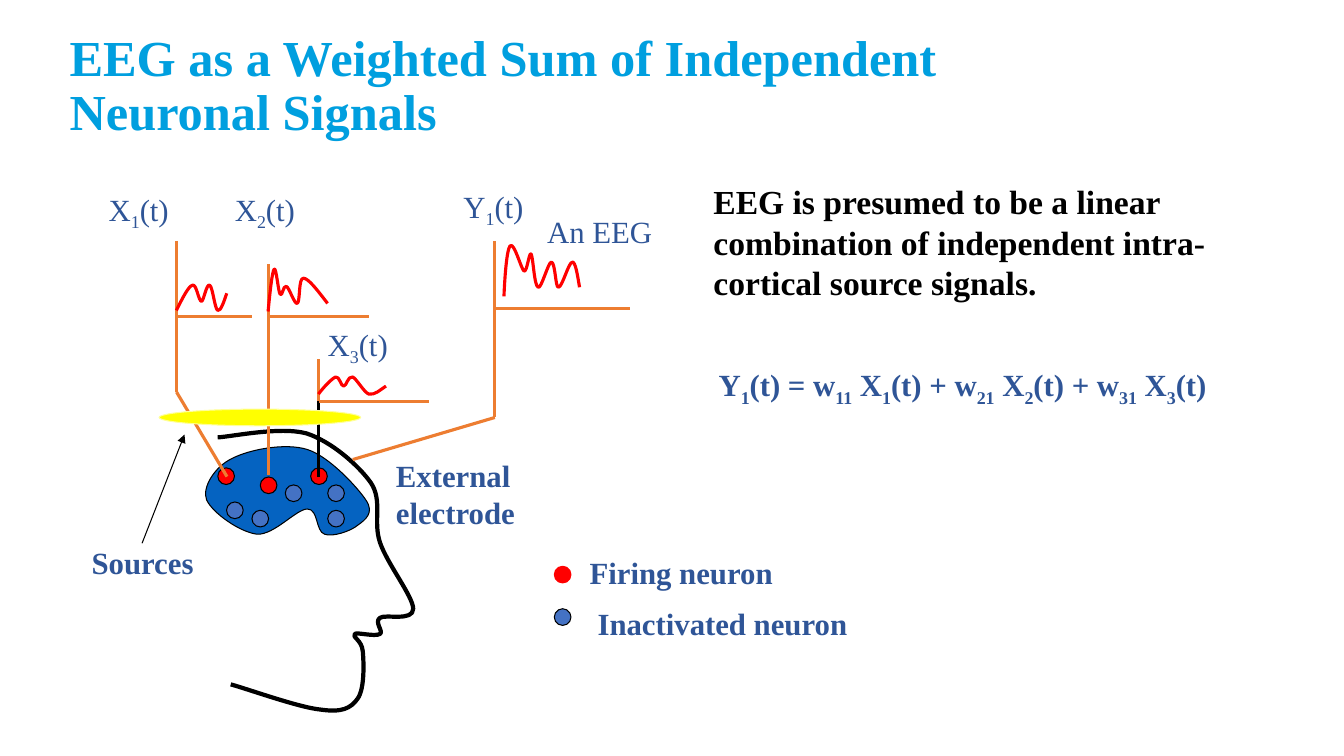
from pptx import Presentation
from pptx.dml.color import RGBColor
from pptx.enum.shapes import MSO_CONNECTOR, MSO_SHAPE
from pptx.enum.text import MSO_ANCHOR, MSO_AUTO_SIZE, PP_ALIGN
from pptx.oxml import parse_xml
from pptx.oxml.ns import nsdecls, qn
from pptx.oxml.xmlchemy import OxmlElement
from pptx.util import Cm, Pt

STRAIGHT = MSO_CONNECTOR.STRAIGHT
OVAL = MSO_SHAPE.OVAL
BOTTOM = MSO_ANCHOR.BOTTOM
NO_FIT, GROW = MSO_AUTO_SIZE.NONE, MSO_AUTO_SIZE.SHAPE_TO_FIT_TEXT
LEFT = PP_ALIGN.LEFT

FONT = "Times New Roman"
BLACK = RGBColor(0x00, 0x00, 0x00)
RED = RGBColor(0xFF, 0x00, 0x00)
ORANGE = RGBColor(0xED, 0x7D, 0x31)
YELLOW = RGBColor(0xFF, 0xFF, 0x00)
PALE_YELLOW = RGBColor(0xFF, 0xFF, 0x99)
BRAIN_BLUE = RGBColor(0x05, 0x63, 0xC1)
NEURON_BLUE = RGBColor(0x44, 0x72, 0xC4)
TEXT_BLUE = RGBColor(0x2F, 0x55, 0x97)
TITLE_BLUE = RGBColor(0x00, 0x9F, 0xDF)

CURVE_UNIT = Cm(0.0254)
NEURON_SIZE = 0.42

FACE = [
    216, 434, 231, 433, 278, 423, 304, 430, 329, 438, 356, 462, 368, 479,
    380, 497, 370, 517, 377, 538, 384, 559, 410, 592, 410, 604,
    410, 617, 382, 609, 377, 613, 371, 617, 381, 627, 377, 629,
    372, 632, 354, 627, 352, 629, 349, 632, 359, 635, 360, 646,
    361, 657, 362, 683, 355, 693, 348, 703, 339, 707, 318, 704,
    297, 702, 247, 684, 229, 679]
BRAIN = [
    230, 455, 247, 446, 283, 439, 305, 446, 327, 453, 355, 484, 363, 496,
    372, 509, 362, 516, 355, 521, 348, 527, 330, 533, 322, 530,
    313, 527, 316, 505, 305, 505, 294, 505, 272, 531, 255, 530,
    238, 528, 211, 509, 205, 496, 200, 484, 213, 463, 230, 455]
SIGNALS = [
    [266, 309, 268, 289, 270, 270, 272, 267, 274, 264, 276, 289, 278, 292,
     280, 295, 281, 283, 284, 284, 287, 285, 292, 302, 295, 301,
     298, 299, 296, 276, 301, 276, 306, 276, 315, 288, 325, 301],
    [316, 391, 322, 383, 329, 376, 333, 374, 337, 373, 338, 383, 341, 383,
     344, 383, 345, 373, 350, 374, 354, 376, 361, 389, 366, 391,
     372, 392, 377, 387, 383, 383],
    [175, 308, 181, 296, 187, 284, 191, 283, 195, 281, 197, 299, 200, 299,
     202, 299, 205, 281, 208, 283, 211, 284, 213, 306, 216, 308,
     219, 309, 222, 300, 225, 291],
    [500, 294, 501, 271, 503, 248, 506, 244, 510, 239, 517, 267, 520, 269,
     523, 270, 525, 249, 527, 252, 529, 255, 530, 284, 534, 285,
     537, 287, 544, 260, 547, 260, 551, 260, 551, 285, 554, 285,
     558, 285, 564, 260, 568, 260, 571, 260, 573, 273, 575, 285]]

FIRING = [(6.56, 12.02), (5.49, 11.79), (7.83, 11.79)]
INACTIVATED = [(5.71, 12.65), (7.19, 12.22), (6.35, 12.86), (8.26, 12.86), (8.26, 12.22)]
WIRES = [
    (6.76, 11.96, 6.76, 6.65), (6.76, 7.98, 9.3, 7.98),
    (8.03, 10.11, 10.8, 10.11), (8.03, 10.11, 8.03, 9.04),
    (4.45, 6.07, 4.45, 9.88), (4.45, 7.98, 6.35, 7.98), (5.72, 12.01, 4.45, 9.88),
    (8.89, 11.58, 12.47, 10.52), (12.47, 7.77, 15.88, 7.77), (12.47, 10.52, 12.47, 6.07)]

TIGHT_LABELS = [
    ("X_1_(t)", (2.74, 4.8, 1.7, 0.94), False),
    ("X_2_(t)", (5.92, 4.8, 1.7, 0.94), False),
    ("X_3_(t)", (8.26, 8.2, 1.7, 0.94), False),
    ("Sources", (2.31, 13.69, 5.92, 0.94), True)]
PADDED_LABELS = [
    ("Y_1_(t)", (11.43, 4.6, 2.34, 1.19), False),
    ("An EEG", (13.54, 5.23, 3.81, 1.19), False),
    ("External electrode", (9.73, 11.38, 4.24, 2.13), True),
    ("Y_1_(t) = w_11_ X_1_(t) + w_21_ X_2_(t) + w_31_ X_3_(t)", (17.86, 9.09, 13.69, 1.19), True),
    ("Firing neuron", (14.61, 13.84, 7.42, 1.19), True),
    ("Inactivated neuron", (14.81, 15.11, 9.09, 1.19), True)]
STATEMENT = "EEG is presumed to be a linear combination of independent intra-cortical source signals."


def set_font(paragraph, size, color, bold):
    """Format a whole paragraph."""
    font = paragraph.font
    font.name, font.size, font.bold = FONT, Pt(size), bold
    font.color.rgb = color


def set_line(shape, color, width):
    """Give a shape or connector a solid line."""
    shape.line.color.rgb = color
    shape.line.width = Pt(width)


def add_title(slide, text):
    """Place and format the title placeholder."""
    title = slide.shapes.title
    title.left, title.top, title.width, title.height = Cm(1.5), Cm(1.57), Cm(27.15), Cm(2.13)
    frame = title.text_frame
    frame.text = text
    frame.auto_size = NO_FIT
    frame.vertical_anchor = BOTTOM
    paragraph = frame.paragraphs[0]
    paragraph.alignment = LEFT
    paragraph.line_spacing = 0.9
    set_font(paragraph, 36, TITLE_BLUE, True)


def add_label(slide, text, box, bold, padded, size=22, color=TEXT_BLUE):
    """Add a text box in which underscores enclose subscripts."""
    frame = slide.shapes.add_textbox(*map(Cm, box)).text_frame
    frame.word_wrap = True
    frame.auto_size = GROW
    if not padded:
        frame.margin_left = frame.margin_top = frame.margin_right = frame.margin_bottom = 0
    paragraph = frame.paragraphs[0]
    for index, piece in enumerate(text.split("_")):
        run = paragraph.add_run()
        run.text = piece
        if index % 2:
            run._r.get_or_add_rPr().set("baseline", "-25000")
    set_font(paragraph, size, color, bold)


def add_oval(slide, box, fill, line):
    """Add a filled ellipse with a thin outline."""
    oval = slide.shapes.add_shape(OVAL, *map(Cm, box))
    oval.shadow.inherit = False
    oval.fill.solid()
    oval.fill.fore_color.rgb = fill
    set_line(oval, line, 0.75)


def add_neuron(slide, left, top, fill, line=BLACK):
    """Add a neuron dot."""
    add_oval(slide, (left, top, NEURON_SIZE, NEURON_SIZE), fill, line)


def add_line(slide, ends, color, width, arrow=False):
    """Add a straight connector, optionally ending in an arrowhead."""
    connector = slide.shapes.add_connector(STRAIGHT, *map(Cm, ends))
    set_line(connector, color, width)
    if arrow:
        connector.line._get_or_add_ln().append(
            parse_xml(f'<a:tailEnd {nsdecls("a")} type="triangle"/>'))
    connector._element.spPr.append(OxmlElement("a:effectLst"))


def add_curve(slide, coordinates, color, width, fill=None):
    """Add a chain of cubic curves, closed when it has a fill."""
    start, *points = zip(coordinates[::2], coordinates[1::2])
    builder = slide.shapes.build_freeform(*start, scale=CURVE_UNIT)
    builder.add_line_segments(points, close=fill is not None)
    shape = builder.convert_to_shape()
    outline = next(shape._element.iter(qn("a:path")))
    segments = outline.findall(qn("a:lnTo"))
    for first in range(0, len(segments), 3):
        curve = OxmlElement("a:cubicBezTo")
        segments[first].addprevious(curve)
        for segment in segments[first:first + 3]:
            curve.append(segment[0])
            outline.remove(segment)
    shape.shadow.inherit = False
    if fill is None:
        shape.fill.background()
    else:
        shape.fill.solid()
        shape.fill.fore_color.rgb = fill
    set_line(shape, color, width)


def main():
    """Build the slide and save it."""
    presentation = Presentation()
    presentation.slide_width, presentation.slide_height = Cm(33.87), Cm(19.05)
    slide = presentation.slides.add_slide(presentation.slide_layouts[5])
    add_title(slide, "EEG as a Weighted Sum of Independent Neuronal Signals")

    add_curve(slide, FACE, BLACK, 3)
    add_curve(slide, BRAIN, BLACK, 0.75, BRAIN_BLUE)
    for left, top in FIRING:
        add_neuron(slide, left, top, RED)
    for left, top in INACTIVATED:
        add_neuron(slide, left, top, NEURON_BLUE)

    add_line(slide, (8.03, 12.01, 8.03, 10.11), BLACK, 2.25)
    for ends in WIRES:
        add_line(slide, ends, ORANGE, 2.25)
    for signal in SIGNALS:
        add_curve(slide, signal, RED, 2.25)
    add_oval(slide, (4.01, 10.31, 5.08, 0.42), YELLOW, PALE_YELLOW)
    add_line(slide, (3.58, 13.69, 4.65, 10.95), BLACK, 0.75, arrow=True)

    for text, box, bold in TIGHT_LABELS:
        add_label(slide, text, box, bold, padded=False)
    for text, box, bold in PADDED_LABELS:
        add_label(slide, text, box, bold, padded=True)
    add_label(slide, STATEMENT, (17.98, 4.57, 14.86, 3.07), True, False, 24, BLACK)
    add_neuron(slide, 13.97, 14.27, RED, RED)
    add_neuron(slide, 13.97, 15.34, NEURON_BLUE)
    presentation.save("out.pptx")


if __name__ == "__main__":
    main()
